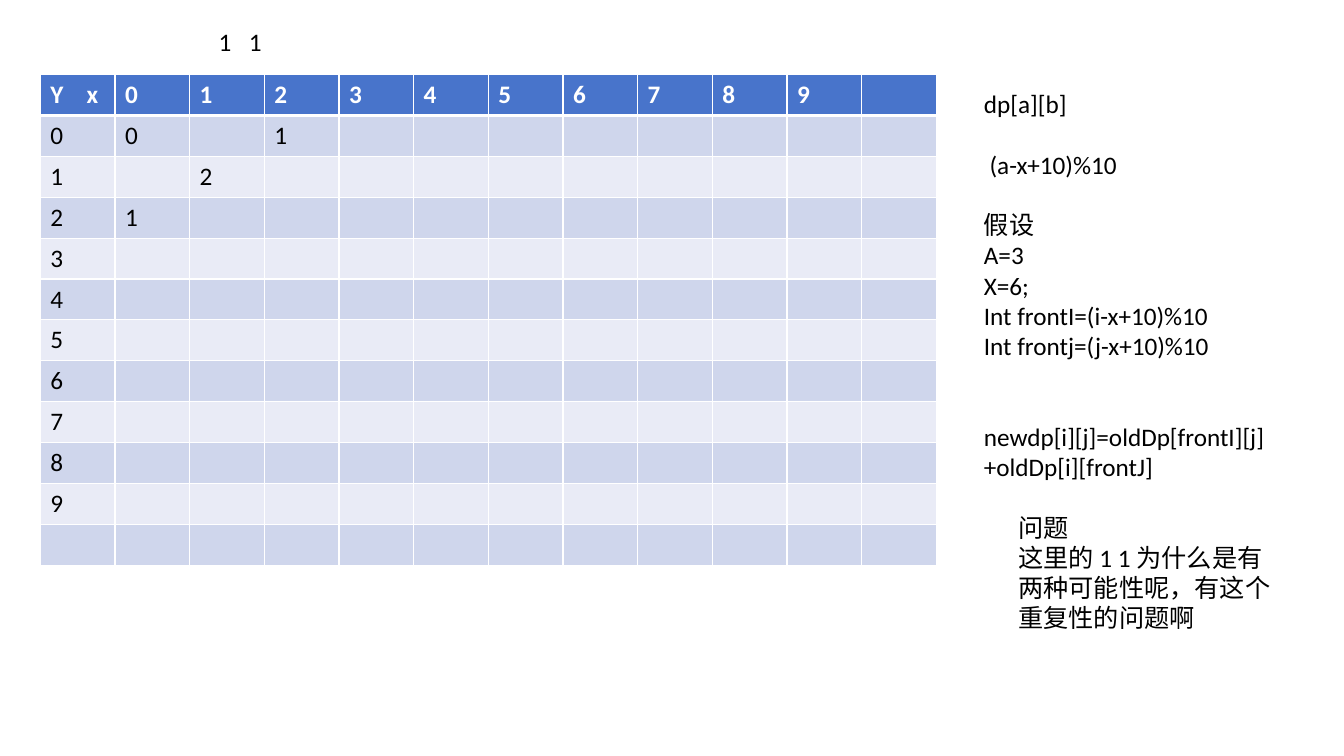
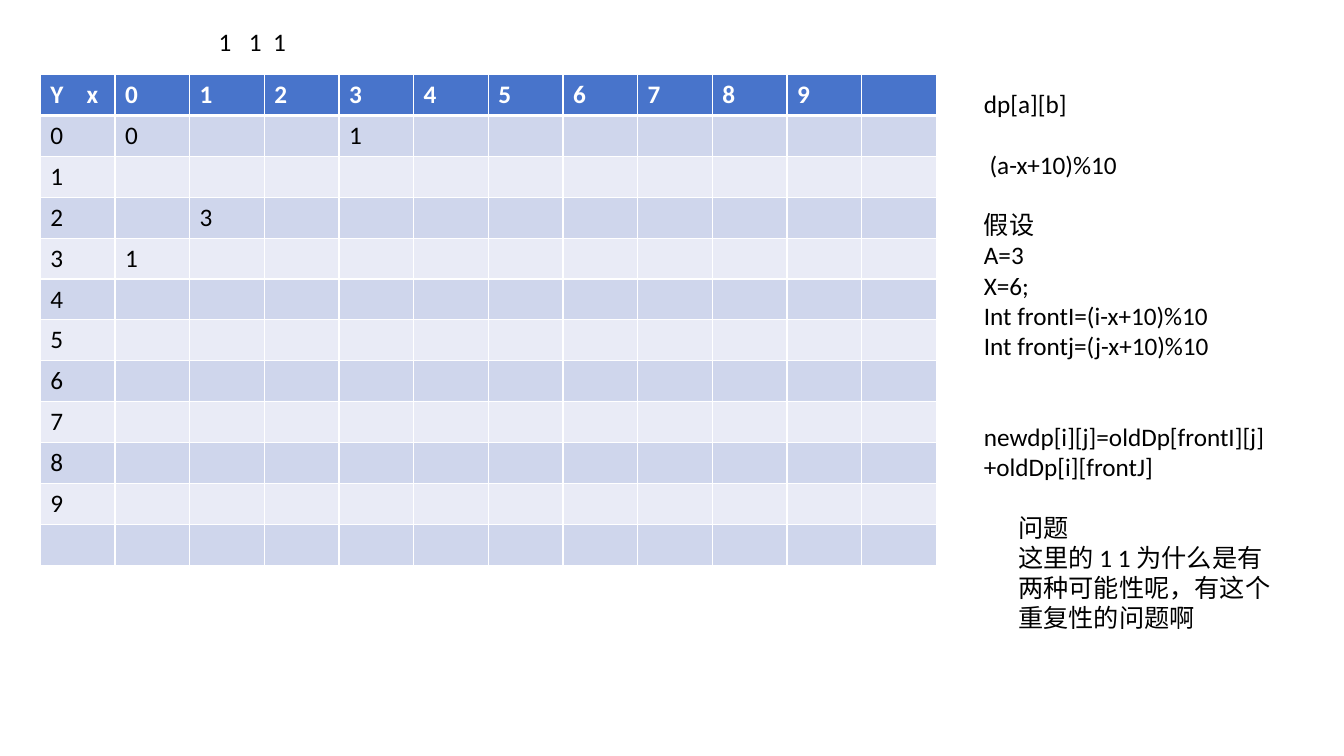
"""Build two slides that show digit-sum dp tables beside their recurrence."""
from lxml import etree
from pptx import Presentation
from pptx.dml.color import RGBColor
from pptx.enum import text
from pptx.oxml import ns
from pptx.util import Inches, Pt

FONT = "Calibri"
SIZE = Pt(18)
BLACK = RGBColor(0x00, 0x00, 0x00)
WHITE = RGBColor(0xFF, 0xFF, 0xFF)
HEADER_BLUE = RGBColor(0x48, 0x74, 0xCB)
BANDS = (RGBColor(0xE9, 0xEB, 0xF6), RGBColor(0xCF, 0xD6, 0xEC))

GRID_COUNT = 12
DIGITS = [str(digit) for digit in range(10)]
LINE_GAP = 21.6
RECURRENCE = [
    ("dp[a][b]", 0),
    (" (a-x+10)%10", 1),
    ("假设", 1),
    ("A=3", 0),
    ("X=6;", 0),
    ("Int frontI=(i-x+10)%10", 0),
    ("Int frontj=(j-x+10)%10", 0),
    ("newdp[i][j]=oldDp[frontI][j]+oldDp[i][frontJ]", 2),
]
QUESTION = [("问题", 0), ("这里的 1 1 为什么是有两种可能性呢，有这个重复性的问题啊", 0)]
STEPS = [
    ("1\t1", {(0, 0): 0, (0, 2): 1, (1, 1): 2, (2, 0): 1}),
    ("1\t1\t1", {(0, 0): 0, (0, 3): 1, (2, 1): 3, (3, 0): 1}),
]


def style_runs(paragraph, color=BLACK, bold=False):
    for run in paragraph.runs:
        run.font.name = FONT
        run.font.size = SIZE
        run.font.bold = bold
        run.font.color.rgb = color


def set_tabs(paragraph, *stops):
    properties = paragraph._p.get_or_add_pPr()
    tabs = etree.SubElement(properties, ns.qn("a:tabLst"))
    for stop in stops:
        etree.SubElement(tabs, ns.qn("a:tab"), pos=str(Inches(stop)), algn="l")


def add_lines(slide, left, top, width, height, lines):
    box = slide.shapes.add_textbox(Inches(left), Inches(top), Inches(width), Inches(height))
    frame = box.text_frame
    frame.word_wrap = True
    frame.auto_size = text.MSO_AUTO_SIZE.SHAPE_TO_FIT_TEXT
    frame.text = "\n".join(line for line, _ in lines)
    for paragraph, (_, gaps) in zip(frame.paragraphs, lines):
        if gaps:
            paragraph.space_before = Pt(gaps * LINE_GAP)
        style_runs(paragraph)
    return frame


def set_borders(cell, top, bottom):
    properties = cell._tc.get_or_add_tcPr()
    for side, width in (("L", 1), ("R", 1), ("T", top), ("B", bottom)):
        line = etree.SubElement(properties, ns.qn(f"a:ln{side}"), w=str(Pt(width)))
        fill = etree.SubElement(line, ns.qn("a:solidFill"))
        etree.SubElement(fill, ns.qn("a:srgbClr"), val=str(WHITE))


def add_dp_table(slide, counts):
    table = slide.shapes.add_table(
        GRID_COUNT, GRID_COUNT, Inches(0.4), Inches(0.74), Inches(8.89), Inches(4.87)
    ).table
    labels = {(0, 0): "Y\tx"}
    for index, digit in enumerate(DIGITS, start=1):
        labels[0, index] = labels[index, 0] = digit
    for (row, column), count in counts.items():
        labels[row + 1, column + 1] = str(count)
    for row in range(GRID_COUNT):
        header = row == 0
        for column in range(GRID_COUNT):
            cell = table.cell(row, column)
            set_borders(cell, 3 if row == 1 else 1, 3 if header else 1)
            cell.fill.solid()
            cell.fill.fore_color.rgb = HEADER_BLUE if header else BANDS[row % 2]
            if (row, column) in labels:
                cell.text_frame.text = labels[row, column]
                style_runs(cell.text_frame.paragraphs[0], WHITE if header else BLACK, header)
    set_tabs(table.cell(0, 0).text_frame.paragraphs[0], 0.36)


def add_step(deck, sequence, counts):
    slide = deck.slides.add_slide(deck.slide_layouts[6])
    add_dp_table(slide, counts)
    add_lines(slide, 9.66, 0.83, 3.82, 4.04, RECURRENCE)
    inputs = add_lines(slide, 2.07, 0.21, 4.03, 0.4, [(sequence, 0)])
    set_tabs(inputs.paragraphs[0], 0.3, 0.54)
    add_lines(slide, 10, 5.03, 2.71, 1.31, QUESTION)


def main():
    deck = Presentation()
    deck.slide_width = Inches(13.33)
    deck.slide_height = Inches(7.5)
    for sequence, counts in STEPS:
        add_step(deck, sequence, counts)
    deck.save("out.pptx")


if __name__ == "__main__":
    main()
